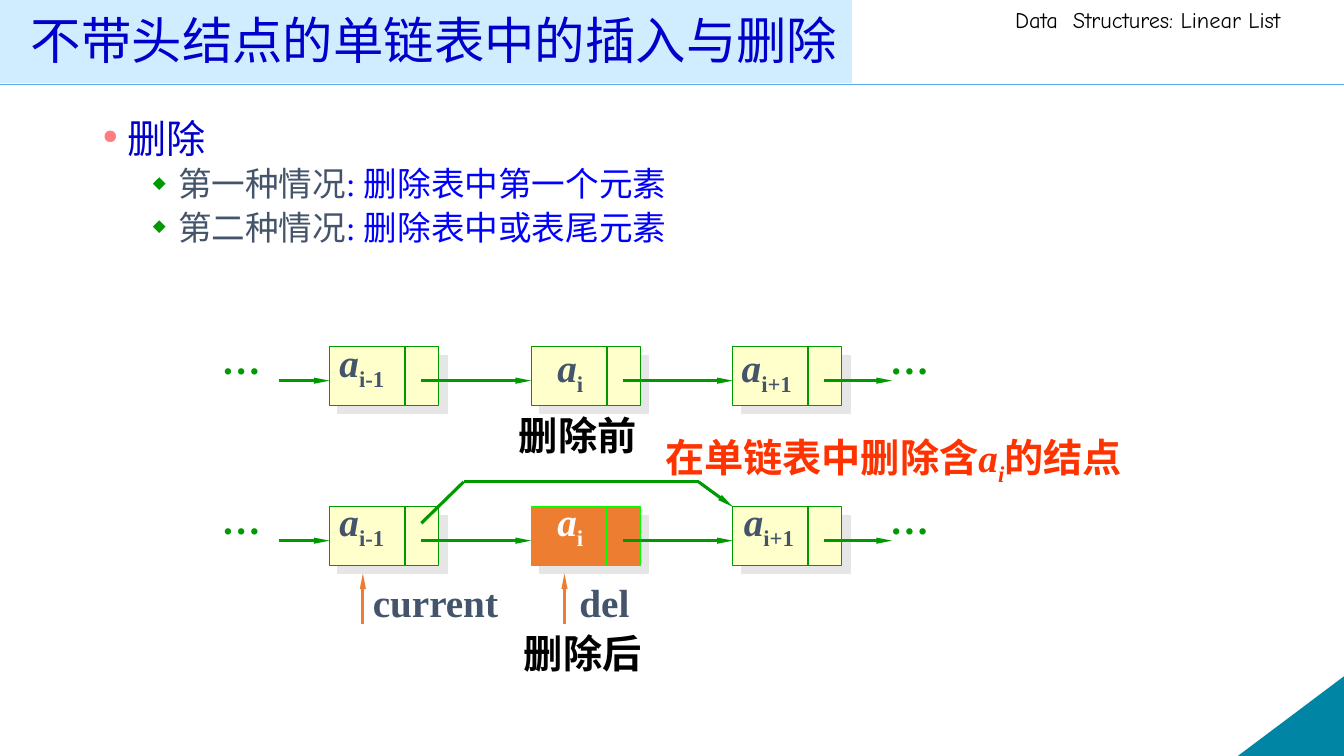
import pptx
import pptx.dml.color
import pptx.enum.shapes
import pptx.enum.text
import pptx.oxml
import pptx.oxml.ns
import pptx.util

Pt = pptx.util.Pt
RGB = pptx.dml.color.RGBColor
KIND = pptx.enum.shapes.MSO_SHAPE
ANCHOR = pptx.enum.text.MSO_ANCHOR
FIT = pptx.enum.text.MSO_AUTO_SIZE

GREEN = RGB(0x00, 0x99, 0x00)
LIME = RGB(0x00, 0xFF, 0x00)
CREAM = RGB(0xFF, 0xFF, 0xCC)
ORANGE = RGB(0xED, 0x7D, 0x31)
SLATE = RGB(0x44, 0x54, 0x6A)
NAVY = RGB(0x00, 0x00, 0xCC)
BLUE = RGB(0x00, 0x00, 0xFF)
RED = RGB(0xFF, 0x33, 0x00)
BLACK = RGB(0x00, 0x00, 0x00)
WHITE = RGB(0xFF, 0xFF, 0xFF)
PALE = RGB(0xCF, 0xED, 0xFE)
SKY = RGB(0x5A, 0xAA, 0xED)
TEAL = RGB(0x00, 0x85, 0xA4)
PINK = RGB(0xFF, 0x7C, 0x80)
GREY = RGB(0xE7, 0xE6, 0xE6)

SANS = "Noto Sans CJK SC"
LABEL = {"name": "Times New Roman", "size": Pt(28), "bold": True}
PLAIN = {"bold": False}
ITALIC = {"italic": True}
LOW = {"base": "-25000"}
NS = pptx.oxml.ns.nsdecls("a")

deck = pptx.Presentation()
deck.slide_width, deck.slide_height = Pt(960), Pt(540)
slide = deck.slides.add_slide(deck.slide_layouts[6])


def write(x, y, w, h, *paras, wrap=False, fit=FIT.SHAPE_TO_FIT_TEXT):
    """Add a text box; each paragraph is a list of (text, colour, format)."""
    box = slide.shapes.add_textbox(Pt(x), Pt(y), Pt(w), Pt(h))
    frame = box.text_frame
    frame.word_wrap, frame.auto_size = wrap, fit
    for i, runs in enumerate(paras):
        para = frame.add_paragraph() if i else frame.paragraphs[0]
        for text, tint, extra in runs:
            run = para.add_run()
            run.text = text
            look = {**LABEL, **extra}
            base = look.pop("base", None)
            for key, value in look.items():
                setattr(run.font, key, value)
            run.font.color.rgb = tint
            props = run.font._element
            props.append(pptx.oxml.parse_xml(f'<a:ea {NS} typeface="{SANS}"/>'))
            if base:
                props.set("baseline", base)
    return frame


def draw(x1, y1, x2, y2, tint=GREEN, width=2.25, head=True):
    """Add a straight line, with an arrowhead at its end if wanted."""
    line = slide.shapes.add_connector(
        pptx.enum.shapes.MSO_CONNECTOR.STRAIGHT, Pt(x1), Pt(y1), Pt(x2), Pt(y2))
    line.line.color.rgb, line.line.width = tint, Pt(width)
    if head:
        line.line._get_or_add_ln().append(pptx.oxml.parse_xml(
            f'<a:tailEnd {NS} type="triangle" w="sm" len="lg"/>'))
    line._element.spPr.append(pptx.oxml.parse_xml(f"<a:effectLst {NS}/>"))


# Frame of the page
draw(0, 60.4, 960, 60.4, SKY, 1, False)
for kind, x, y, w, h, tint in (
        (KIND.RIGHT_TRIANGLE, 884.2, 483.1, 75.8, 56.9, TEAL),
        (KIND.RECTANGLE, -2, -5, 610.6, 64.4, PALE)):
    part = slide.shapes.add_shape(kind, Pt(x), Pt(y), Pt(w), Pt(h))
    part.shadow.inherit = False
    part.fill.solid()
    part.fill.fore_color.rgb = tint
    part.line.fill.background()
    if kind == KIND.RIGHT_TRIANGLE:
        part._element.spPr.get_or_add_xfrm().set("flipH", "1")
write(718, 1, 242, 26.6, [("Data  Structures: Linear List", BLACK,
      {**PLAIN, "name": "Comic Neue", "size": Pt(16)})], wrap=True)

# Title
title = write(15, 3.6, 828, 54, [("不带头结点的单链表中的插入与删除", NAVY,
              {**PLAIN, "name": SANS, "size": Pt(36)})], wrap=True, fit=FIT.NONE)
title.vertical_anchor = ANCHOR.MIDDLE
title.paragraphs[0].line_spacing = 0.9

# Bullets
item = {**PLAIN, "size": Pt(24)}
body = write(66.2, 77.8, 828, 409, [("删除", NAVY, PLAIN)],
             [("第一种情况", SLATE, item), (": 删除表中第一个元素", BLUE, item)],
             [("第二种情况", SLATE, item), (": 删除表中或表尾元素", BLUE, item)],
             wrap=True, fit=FIT.NONE)
for i, para in enumerate(body.paragraphs):
    sign, tint, left = ("◆", GREEN, 54) if i else ("●", PINK, 18)
    para.level = min(i, 1)
    para.space_before = Pt(5 if i else 10)
    para.line_spacing = 0.9 if i else 1.0
    props = para._p.get_or_add_pPr()
    props.set("marL", str(Pt(left)))
    props.set("indent", str(Pt(-18)))
    for mark in (f'<a:buClr {NS}><a:srgbClr val="{tint}"/></a:buClr>',
                 f'<a:buSzPct {NS} val="50000"/>',
                 f'<a:buChar {NS} char="{sign}"/>'):
        props.append(pptx.oxml.parse_xml(mark))

# Task
task = write(466.6, 305.3, 455.8, 43.2,
             [("在单链表中删除含", RED, {}), ("a", RED, ITALIC),
              ("i", RED, {**ITALIC, **LOW}), ("的结点", RED, {})], wrap=True)
for key, value in {"margin_left": 8.64, "margin_right": 8.64,
                   "margin_top": 4.32, "margin_bottom": 4.32}.items():
    setattr(task, key, Pt(value))

# Lists before and after: index, label left and width, label rise in each row
LEFT, STEP, WIDE, HIGH = 235.4, 144, 78, 42
NODES = (("i-1", (0, 0), 49.7, (9.5, 10)),
         ("i", (11.6, 11.6), 33.8, (6, 10)),
         ("i+1", (-0.7, 0.8), 54, (6, 10)))
for row, top in enumerate((247.7, 362)):
    mid = top + 24.2
    draw(199.4, mid, LEFT, mid)
    for col, (index, shift, width, rise) in enumerate(NODES):
        x = LEFT + STEP * col
        gone = row == 1 and col == 1
        edge = LIME if gone else GREEN
        node = slide.shapes.add_shape(
            KIND.RECTANGLE, Pt(x), Pt(top), Pt(WIDE), Pt(HIGH))
        node.fill.solid()
        node.fill.fore_color.rgb = ORANGE if gone else CREAM
        node.line.color.rgb, node.line.width = edge, Pt(0.75)
        node._element.spPr.append(pptx.oxml.parse_xml(
            f'<a:effectLst {NS}><a:outerShdw blurRad="0" dist="{Pt(8.5)}" '
            f'dir="2700000" algn="ctr" rotWithShape="0">'
            f'<a:srgbClr val="{GREY}"/></a:outerShdw></a:effectLst>'))
        draw(x + 54, top, x + 54, top + HIGH, edge, 1.5, False)
        draw(x + 65.5, mid, 637.2 if col == 2 else x + STEP, mid)
        tint = WHITE if gone else SLATE
        write(x + shift[row], top - rise[row], width, 41.2,
              [("a", tint, ITALIC), (index, tint, LOW)])
    for x in (151.2, 628.6):
        write(x, top - 11.8, 43.2, 41.2, [("…", GREEN, {})])

# New link around the removed node
draw(301, 373.7, 331.2, 344.2, head=False)
draw(331.2, 344.2, 499, 344.2, head=False)
draw(499, 344.2, 523.4, 362)

# Pointers
for x in (259.2, 403.2):
    draw(x, 445.7, x, 409.7, ORANGE)

# Captions
for x, y, width, text, tint in (
        (259.2, 409.7, 105.1, "current", SLATE),
        (406.8, 409.7, 50.4, "del", SLATE),
        (363.6, 290.2, 100, "删除前", BLACK),
        (367.2, 445.7, 100, "删除后", BLACK)):
    write(x, y, width, 41.2, [(text, tint, {})])

deck.save("out.pptx")
